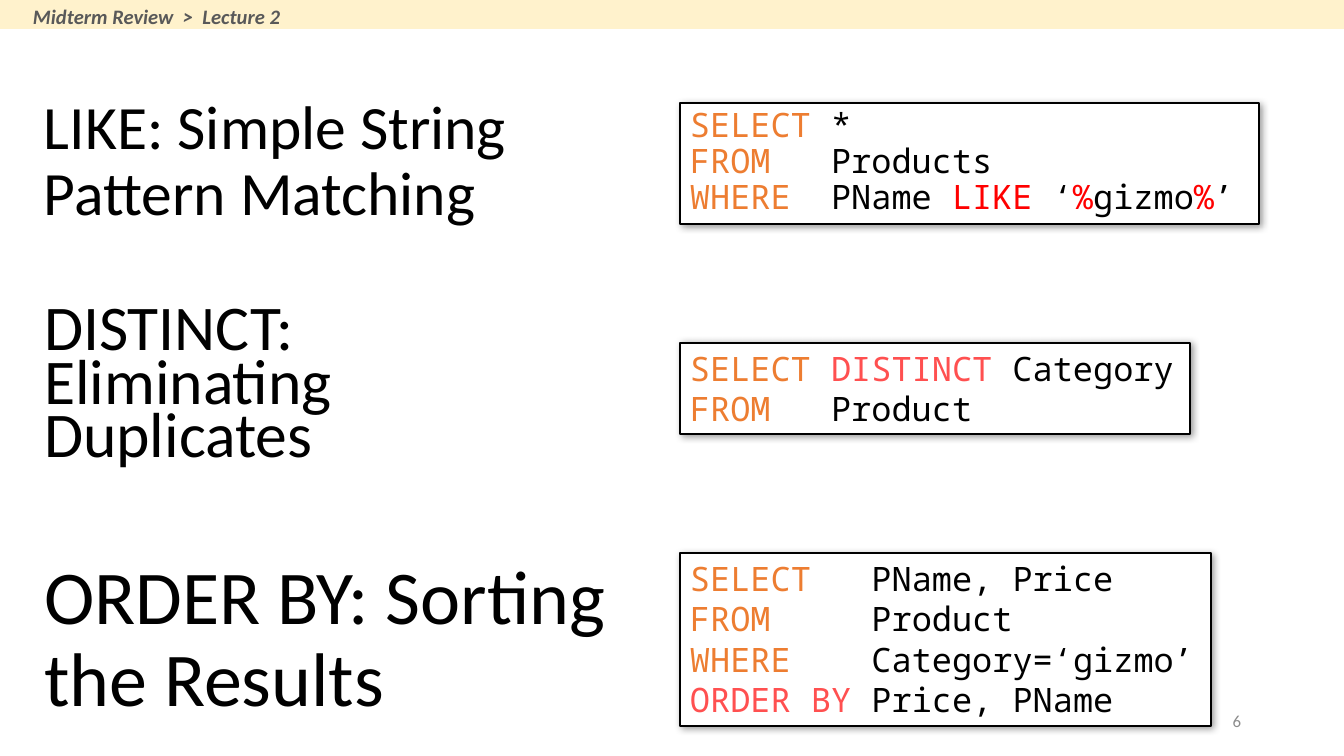
import pptx
import pptx.util
import pptx.dml.color
import pptx.enum.shapes
import pptx.enum.text
import pptx.oxml
import pptx.oxml.ns

PX = 914400 / 134.4
BLACK, ORANGE, RED, CORAL = "000000", "ED7D31", "FF0000", "FF5050"
LEFT, CODE_X = 34, 680
MID = pptx.enum.text.MSO_ANCHOR.MIDDLE
TOP = pptx.enum.text.MSO_ANCHOR.TOP

# text, top, width, height, size, line spacing
HEADS = [
    ("LIKE: Simple String Pattern Matching", 71, 507, 183, 33, 0.9),
    ("DISTINCT: Eliminating Duplicates", 325, 564, 126, 34.1, 0.7),
    ("ORDER BY: Sorting the Results", 531, 613, 219, 40.7, 0.9),
]

# top, width, height, line spacing, lines of (text, colour) runs
CODES = [
    (103, 579, 121, 0.9, [
        [("SELECT ", ORANGE), ("*", BLACK)],
        [("FROM   ", ORANGE), ("Products", BLACK)],
        [("WHERE  ", ORANGE), ("PName ", BLACK), ("LIKE", RED), (" ‘", BLACK),
         ("%", RED), ("gizmo", BLACK), ("%", RED), ("’", BLACK)],
    ]),
    (343, 510, 91, None, [
        [("SELECT ", ORANGE), ("DISTINCT ", CORAL), ("Category", BLACK)],
        [("FROM   ", ORANGE), ("Product", BLACK)],
    ]),
    (553, 531, 173, None, [
        [("SELECT   ", ORANGE), ("PName, Price", BLACK)],
        [("FROM     ", ORANGE), ("Product", BLACK)],
        [("WHERE   ", ORANGE), (" Category=‘gizmo’", BLACK)],
        [("ORDER BY", CORAL), (" Price, PName", BLACK)],
    ]),
]

SHADOW = (
    '<a:effectLst xmlns:a="http://schemas.openxmlformats.org/drawingml/2006/main">'
    '<a:outerShdw blurRad="50800" dist="12700" dir="2700000" algn="tl">'
    '<a:srgbClr val="000000"><a:alpha val="40000"/></a:srgbClr>'
    '</a:outerShdw></a:effectLst>'
)


def px(n):
    return pptx.util.Emu(round(n * PX))


def color(code):
    return pptx.dml.color.RGBColor.from_string(code)


def add_rect(slide, box, fill, line=None):
    rect = slide.shapes.add_shape(
        pptx.enum.shapes.MSO_SHAPE.RECTANGLE, *map(px, box))
    rect.shadow.inherit = False
    rect.fill.solid()
    rect.fill.fore_color.rgb = color(fill)
    if line:
        rect.line.color.rgb = color(line)
        rect.line.width = pptx.util.Pt(0.75)
    else:
        rect.line.fill.background()
    return rect


def add_shadow(shape):
    props = shape.element.spPr
    props.remove(props.find(pptx.oxml.ns.qn("a:effectLst")))
    props.append(pptx.oxml.parse_xml(SHADOW))


def put_text(shape, lines, size, font="Calibri", space=None, align="LEFT",
             anchor=MID, pad=(10, 5), bold=None, italic=None):
    """Fill the shape with lines, each a list of (text, colour) runs."""
    frame = shape.text_frame
    frame.word_wrap = True
    frame.vertical_anchor = anchor
    frame.margin_left = frame.margin_right = px(pad[0])
    frame.margin_top = frame.margin_bottom = px(pad[1])
    for i, line in enumerate(lines):
        par = frame.add_paragraph() if i else frame.paragraphs[0]
        par.alignment = getattr(pptx.enum.text.PP_ALIGN, align)
        par.line_spacing = space
        for text, tint in line:
            run = par.add_run()
            run.text = text
            run.font.name = font
            run.font.size = pptx.util.Pt(size)
            run.font.bold = bold
            run.font.italic = italic
            run.font.color.rgb = color(tint)


def add_label(slide, box, text, size, tint=BLACK, **style):
    label = slide.shapes.add_textbox(*map(px, box))
    put_text(label, [[(text, tint)]], size, **style)


def main():
    deck = pptx.Presentation()
    deck.slide_width, deck.slide_height = px(1344), px(756)
    slide = deck.slides.add_slide(deck.slide_layouts[6])

    add_label(slide, (949, 701, 302, 40), "6", 9, "8C8C8C", align="RIGHT")
    for head, code in zip(HEADS, CODES):
        text, top, wide, high, size, space = head
        add_label(slide, (LEFT, top, wide, high), text, size, space=space)
        top, wide, high, space, lines = code
        rect = add_rect(slide, (CODE_X, top, wide, high), "FFFFFF", BLACK)
        add_shadow(rect)
        put_text(rect, lines, 18, font="Noto Sans Mono", space=space,
                 anchor=TOP)

    add_rect(slide, (0, 0, 1344, 29), "FFF2CC")
    add_label(slide, (20, -3, 278, 39), "Midterm Review  >  Lecture 2", 11,
              "595959", bold=True, italic=True, anchor=TOP, pad=(13, 7))
    deck.save("out.pptx")


if __name__ == "__main__":
    main()
